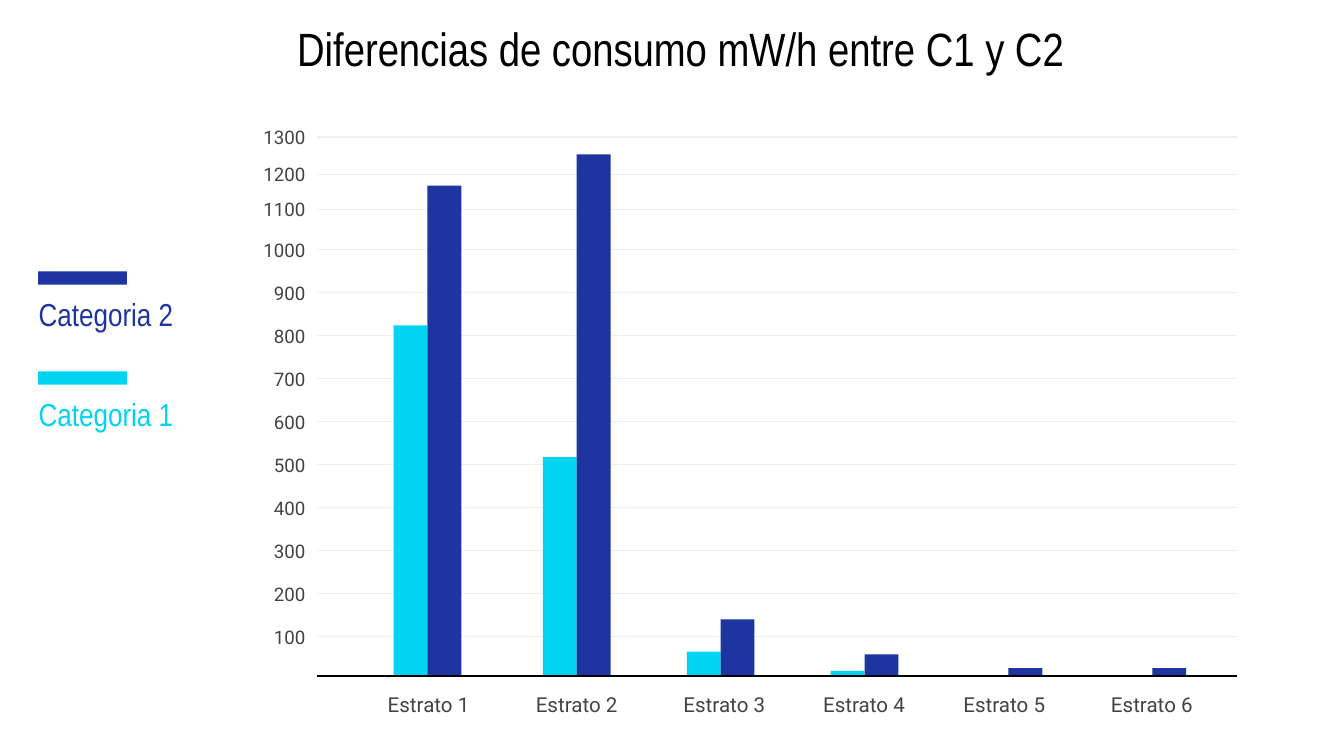
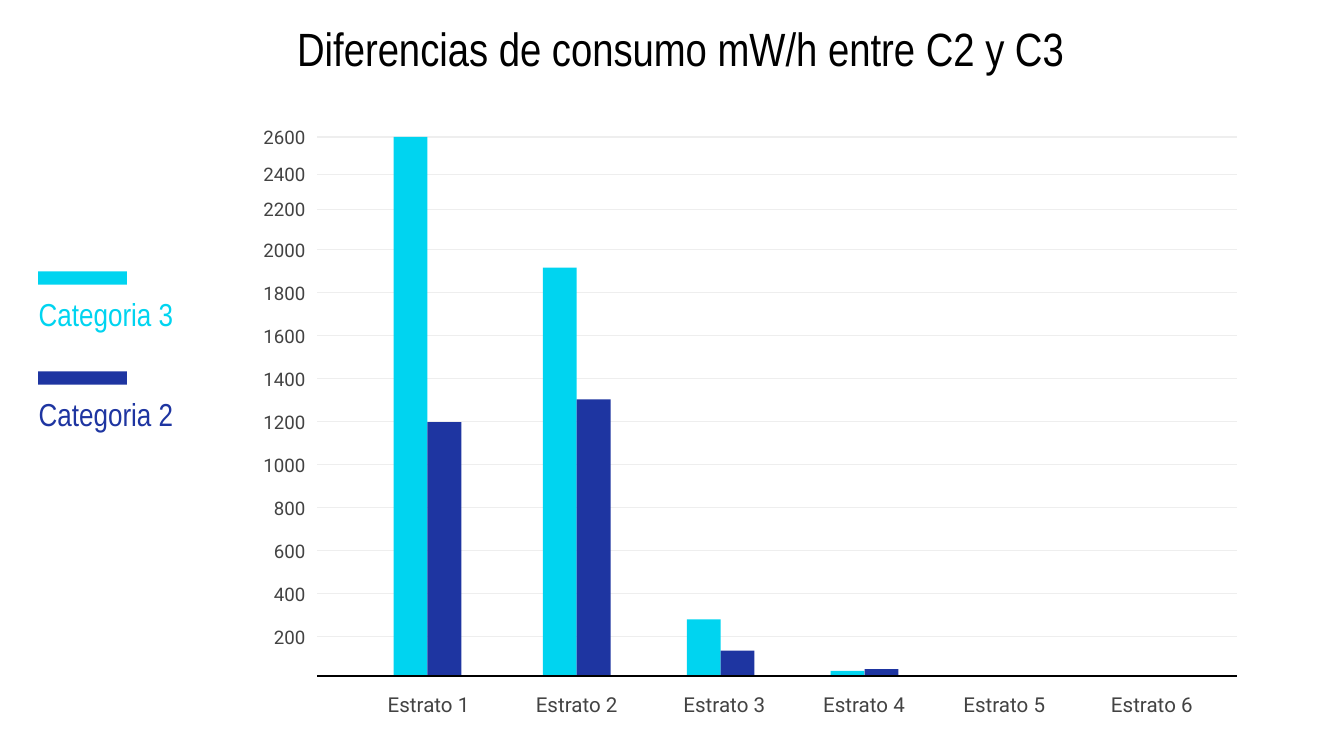
from pptx import Presentation
from pptx.dml.color import RGBColor
from pptx.enum.shapes import MSO_CONNECTOR, MSO_SHAPE
from pptx.enum.text import MSO_ANCHOR, MSO_AUTO_SIZE, PP_ALIGN
from pptx.oxml.ns import qn
from pptx.util import Cm, Pt
from lxml.etree import SubElement

CYAN = RGBColor(0x00, 0xD4, 0xF0)
NAVY = RGBColor(0x1E, 0x35, 0xA1)
GRAY = RGBColor(0x43, 0x43, 0x43)
GRID = RGBColor(0xEE, 0xEE, 0xEE)
BLACK = RGBColor(0x00, 0x00, 0x00)

TITLE_FONT = "Arial Narrow"
LABEL_FONT = "Roboto"

# Plot area, in centimetres
PLOT_LEFT, PLOT_RIGHT = 6.0, 23.37
BASELINE = 12.78
GRID_STEP = 0.813
GRID_LINES = [2.59, 3.3, 3.96] + [4.72 + GRID_STEP * i for i in range(10)]
BAR_WIDTH = 0.64
BAR_GROUPS = [7.44] + [10.26 + 2.72 * i for i in range(5)]
STRATUM_LABELS = [6.93, 9.73, 12.52, 15.16, 17.81, 20.6]
TICK_HEIGHT = 0.69


def format_text(shape, text, font_name, size, color, alignment):
    frame = shape.text_frame
    frame.text = text
    frame.word_wrap = True
    frame.auto_size = MSO_AUTO_SIZE.NONE
    frame.vertical_anchor = MSO_ANCHOR.MIDDLE
    frame.margin_left = frame.margin_right = Cm(0.25)
    frame.margin_top = frame.margin_bottom = Cm(0.25)
    paragraph = frame.paragraphs[0]
    paragraph.alignment = alignment
    paragraph.font.name = font_name
    paragraph.font.size = Pt(size)
    paragraph.font.color.rgb = color


def add_title(slide, text):
    title = slide.shapes.title
    title.left, title.top = Cm(1.47), Cm(0.23)
    title.width, title.height = Cm(22.78), Cm(1.35)
    format_text(title, text, TITLE_FONT, 25, BLACK, PP_ALIGN.CENTER)


def add_label(slide, text, left, top, width, height, **style):
    box = slide.shapes.add_textbox(Cm(left), Cm(top), Cm(width), Cm(height))
    format_text(box, text, **style)


def add_bar(slide, left, top, width, height, color):
    bar = slide.shapes.add_shape(
        MSO_SHAPE.RECTANGLE, Cm(left), Cm(top), Cm(width), Cm(height))
    bar.shadow.inherit = False
    bar.fill.solid()
    bar.fill.fore_color.rgb = color
    bar.line.fill.background()


def add_horizontal_line(slide, y, color):
    """Draw a thin line across the plot area."""
    line = slide.shapes.add_connector(
        MSO_CONNECTOR.STRAIGHT, Cm(PLOT_LEFT), Cm(y), Cm(PLOT_RIGHT), Cm(y))
    line.line.color.rgb = color
    line.line.width = Pt(0.75)
    SubElement(line._element.spPr, qn("a:effectLst"))


def add_value_axis(slide, step):
    """Draw the grid with its values, the highest at the top."""
    count = len(GRID_LINES)
    for i, y in enumerate(GRID_LINES):
        add_horizontal_line(slide, y, GRID)
        add_label(slide, str(step * (count - i)), 4.47, y - TICK_HEIGHT / 2,
                  1.55, TICK_HEIGHT, font_name=LABEL_FONT, size=10,
                  color=GRAY, alignment=PP_ALIGN.RIGHT)


def add_bars(slide, heights, color, position):
    """Draw one category; position is its place within each pair of bars."""
    for group_left, height in zip(BAR_GROUPS, heights):
        add_bar(slide, group_left + position * BAR_WIDTH, BASELINE - height,
                BAR_WIDTH, height, color) if height else None


def add_stratum_labels(slide):
    for number, left in enumerate(STRATUM_LABELS, start=1):
        add_label(slide, f"Estrato {number}", left, 13.03, 2.34, 0.58,
                  font_name=LABEL_FONT, size=11, color=GRAY,
                  alignment=PP_ALIGN.CENTER)


def add_legend(slide, entries):
    for i, (name, color) in enumerate(entries):
        top = 5.13 + 1.89 * i
        add_bar(slide, 0.72, top, 1.68, 0.25, color)
        add_label(slide, name, 0.48, top + 0.44, 4.93, 0.74,
                  font_name=TITLE_FONT, size=17, color=color,
                  alignment=PP_ALIGN.LEFT)


def add_comparison_slide(presentation, title, step, legend, cyan_heights,
                         navy_heights):
    slide = presentation.slides.add_slide(presentation.slide_layouts[5])
    add_title(slide, title)
    add_value_axis(slide, step)
    add_legend(slide, legend)
    add_bars(slide, cyan_heights, CYAN, 0)
    add_bars(slide, navy_heights, NAVY, 1)
    add_horizontal_line(slide, BASELINE, BLACK)
    add_stratum_labels(slide)


def main():
    presentation = Presentation()
    presentation.slide_width, presentation.slide_height = Cm(25.4), Cm(14.29)
    add_comparison_slide(
        presentation, "Diferencias de consumo mW/h entre C1 y C2", 100,
        [("Categoria 2", NAVY), ("Categoria 1", CYAN)],
        cyan_heights=[6.63, 4.14, 0.46, 0.1, 0, 0],
        navy_heights=[9.27, 9.86, 1.07, 0.41, 0.15, 0.15])
    add_comparison_slide(
        presentation, "Diferencias de consumo mW/h entre C2 y C3", 200,
        [("Categoria 3", CYAN), ("Categoria 2", NAVY)],
        cyan_heights=[10.19, 7.72, 1.07, 0.1, 0, 0],
        navy_heights=[4.8, 5.23, 0.48, 0.13, 0, 0])
    presentation.save("out.pptx")


if __name__ == "__main__":
    main()
